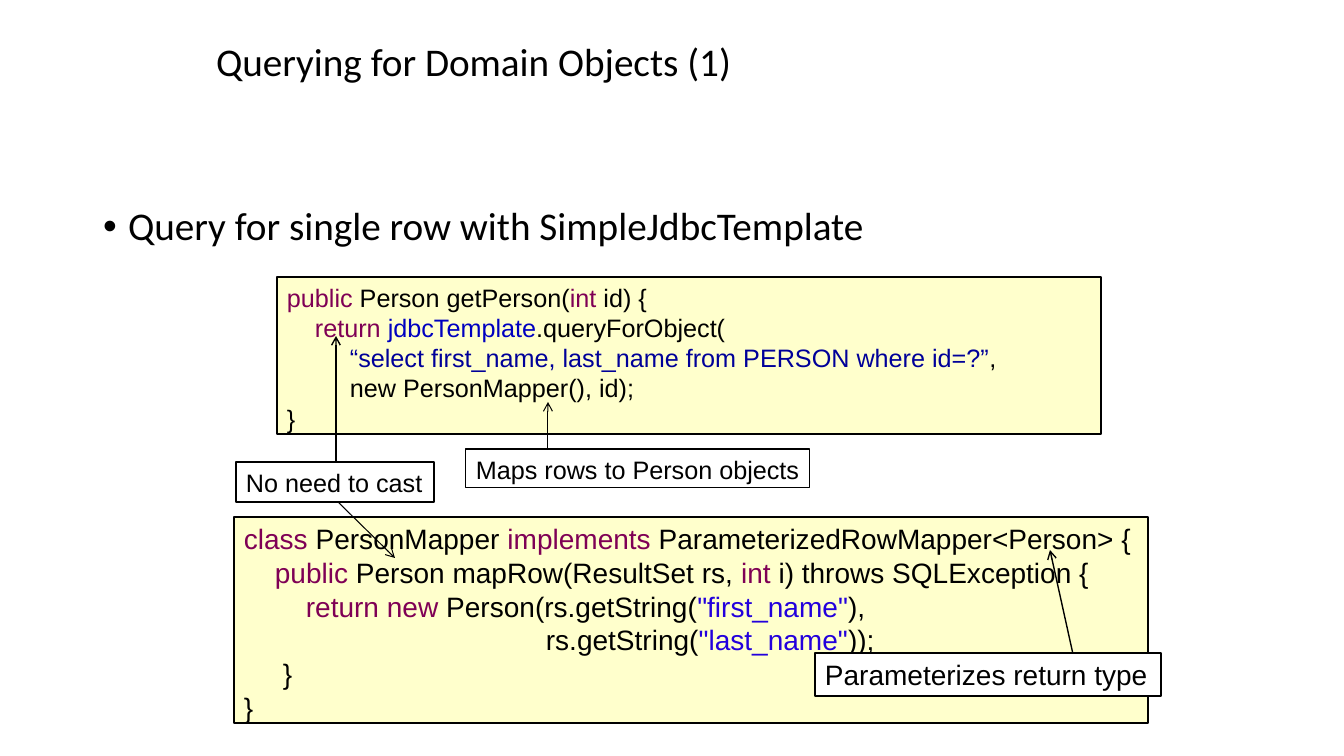
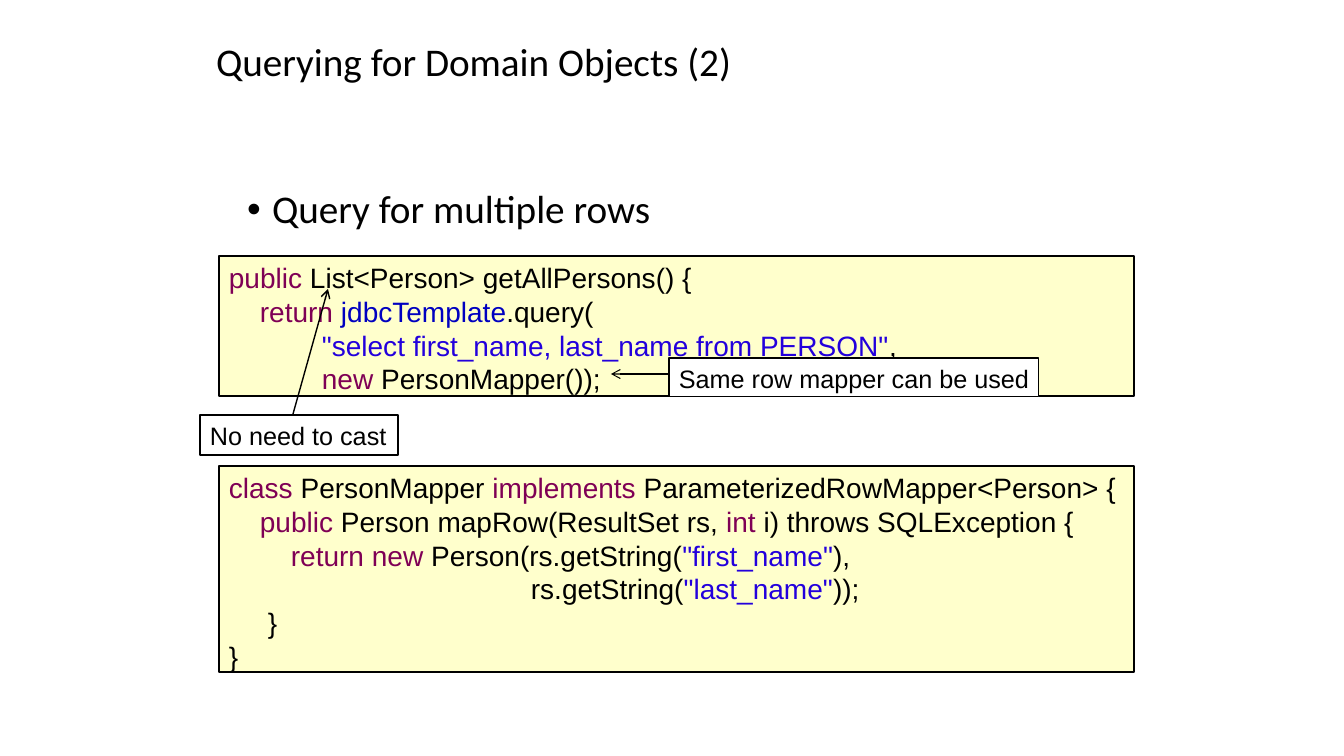
from lxml.etree import SubElement
from pptx import Presentation
from pptx.dml.color import RGBColor
from pptx.enum.shapes import MSO_CONNECTOR, MSO_SHAPE
from pptx.enum.text import MSO_ANCHOR, MSO_AUTO_SIZE, PP_ALIGN
from pptx.oxml.ns import qn
from pptx.util import Emu, Pt

# Shared look
COLORS = {
    "text": "000000",
    "keyword": "7F0055",
    "field": "0000C0",
    "query": "000099",
    "string": "2300DC",
    "code": "FFFFCC",
    "label": "FFFFFF",
}
HEADING_FONT = {"name": "Calibri", "size": Pt(28), "bold": False}
HEADING_PARA = {"alignment": PP_ALIGN.LEFT, "line_spacing": 0.9}
CODE_PARA = {"alignment": PP_ALIGN.LEFT, "line_spacing": 1.0}
TITLE_AREA = (206, 37, 693, 53)
AREA_SIDES = ("left", "top", "width", "height")
THIN, MEDIUM = Pt(0.74), Pt(0.99)


def px(pixels):
    return Emu(round(pixels * 914400 / 100.8))


def draw_box(page, area, lines, size, fill, line_width):
    """Each line is an indent in pixels and a list of (text, colour) parts."""
    box = page.shapes.add_shape(MSO_SHAPE.RECTANGLE, *map(px, area))
    box.shadow.inherit = False
    box.fill.solid()
    box.fill.fore_color.rgb = RGBColor.from_string(COLORS[fill])
    box.line.color.rgb = RGBColor.from_string(COLORS["text"])
    box.line.width = line_width
    frame = box.text_frame
    frame.vertical_anchor = MSO_ANCHOR.TOP
    frame.word_wrap = fill == "code"
    for number, (indent, parts) in enumerate(lines):
        para = frame.add_paragraph() if number else frame.paragraphs[0]
        for name, value in CODE_PARA.items():
            setattr(para, name, value)
        if indent:
            para._p.get_or_add_pPr().set("marL", str(px(indent)))
        for text, color in parts:
            span = para.add_run()
            span.text = text
            span.font.name = "Arial"
            span.font.size = Pt(size)
            span.font.color.rgb = RGBColor.from_string(COLORS[color])


# Code samples
GET_PERSON = [
    (0, [("public", "keyword"), (" Person getPerson(", "text"),
         ("int", "keyword"), (" id) {", "text")]),
    (28, [("return ", "keyword"), ("jdbcTemplate", "field"),
          (".queryForObject(", "text")]),
    (63, [("“select first_name, last_name from PERSON where id=?”", "query"),
          (",", "text")]),
    (63, [("new PersonMapper(), id);", "text")]),
    (0, [("}", "text")]),
]
GET_ALL_PERSONS = [
    (0, [("public", "keyword"), (" List<Person> getAllPersons() {", "text")]),
    (31, [("return ", "keyword"), ("jdbcTemplate", "field"), (".query(", "text")]),
    (93, [('"select first_name, last_name from PERSON"', "string"), (",", "text")]),
    (93, [("new", "keyword"), (" PersonMapper());", "text")]),
]
PERSON_MAPPER = [
    (0, [("class", "keyword"), (" PersonMapper ", "text"),
         ("implements", "keyword"), (" ParameterizedRowMapper<Person> {", "text")]),
    (31, [("public", "keyword"), (" Person mapRow(ResultSet rs, ", "text"),
          ("int ", "keyword"), ("i) throws SQLException {", "text")]),
    (62, [("return new", "keyword"), (" Person(rs.getString(", "text"),
          ('"first_name"', "string"), ("),", "text")]),
    (302, [("rs.getString(", "text"), ('"last_name"', "string"), ("));", "text")]),
    (39, [("}", "text")]),
    (0, [("}", "text")]),
]

# Slide contents: code (area, lines, size), arrows (from, to, width),
# labels (area, text, size, width)
SLIDES = [
    {
        "title": "Querying for Domain Objects (1)",
        "bullet": "Query for single row with SimpleJdbcTemplate",
        "bullet_area": (93, 202, 1159, 53),
        "code": [((277, 277, 824, 157), GET_PERSON, 18),
                 ((234, 517, 914, 206), PERSON_MAPPER, 20)],
        "arrows": [((1073, 654), (1050, 550), MEDIUM),
                   ((336, 462), (336, 336), MEDIUM),
                   ((336, 500), (395, 558), THIN),
                   ((548, 449), (548, 402), THIN)],
        "labels": [((815, 653, 346, 43), "Parameterizes return type", 20, MEDIUM),
                   ((236, 462, 198, 40), "No need to cast", 18, MEDIUM),
                   ((466, 449, 344, 39), "Maps rows to Person objects", 18, THIN)],
    },
    {
        "title": "Querying for Domain Objects (2)",
        "bullet": "Query for multiple rows",
        "bullet_area": (237, 185, 867, 53),
        "code": [((219, 256, 915, 140), GET_ALL_PERSONS, 20),
                 ((219, 466, 915, 206), PERSON_MAPPER, 20)],
        "arrows": [((293, 414), (328, 289), MEDIUM),
                   ((669, 374), (611, 374), THIN)],
        "labels": [((200, 415, 198, 40), "No need to cast", 18, MEDIUM),
                   ((669, 358, 370, 39), "Same row mapper can be used", 18, THIN)],
    },
]

deck = Presentation()
deck.slide_width, deck.slide_height = px(1344), px(756)
layout = deck.slide_layouts[1]

# Title place, shared through the layout
for side, value in zip(AREA_SIDES, TITLE_AREA):
    setattr(layout.placeholders[0], side, px(value))

for content in SLIDES:
    page = deck.slides.add_slide(layout)
    title, body = page.shapes.title, page.placeholders[1]

    # Title and bullet
    for side, value in zip(AREA_SIDES, content["bullet_area"]):
        setattr(body, side, px(value))
    for holder, text in ((title, content["title"]), (body, content["bullet"])):
        holder.text_frame.text = text
        holder.text_frame.auto_size = MSO_AUTO_SIZE.NONE
        para = holder.text_frame.paragraphs[0]
        for name, value in HEADING_PARA.items():
            setattr(para, name, value)
        for name, value in HEADING_FONT.items():
            setattr(para.runs[0].font, name, value)
        para.runs[0].font.color.rgb = RGBColor.from_string(COLORS["text"])
    bullet = body.text_frame.paragraphs[0]
    bullet.space_before = Pt(10)
    bullet_format = bullet._p.get_or_add_pPr()
    bullet_format.set("marL", str(px(25)))
    bullet_format.set("indent", str(px(-25)))

    # Code boxes
    for area, lines, size in content["code"]:
        draw_box(page, area, lines, size, "code", MEDIUM)

    # Arrows
    for start, end, width in content["arrows"]:
        arrow = page.shapes.add_connector(
            MSO_CONNECTOR.STRAIGHT, *map(px, start + end))
        arrow.line.width = width
        arrow.line.color.rgb = RGBColor.from_string(COLORS["text"])
        outline = arrow._element.spPr.find(qn("a:ln"))
        SubElement(outline, qn("a:tailEnd"), type="arrow")
        SubElement(arrow._element.spPr, qn("a:effectLst"))

    # Labels
    for area, text, size, width in content["labels"]:
        draw_box(page, area, [(0, [(text, "text")])], size, "label", width)

deck.save("out.pptx")
